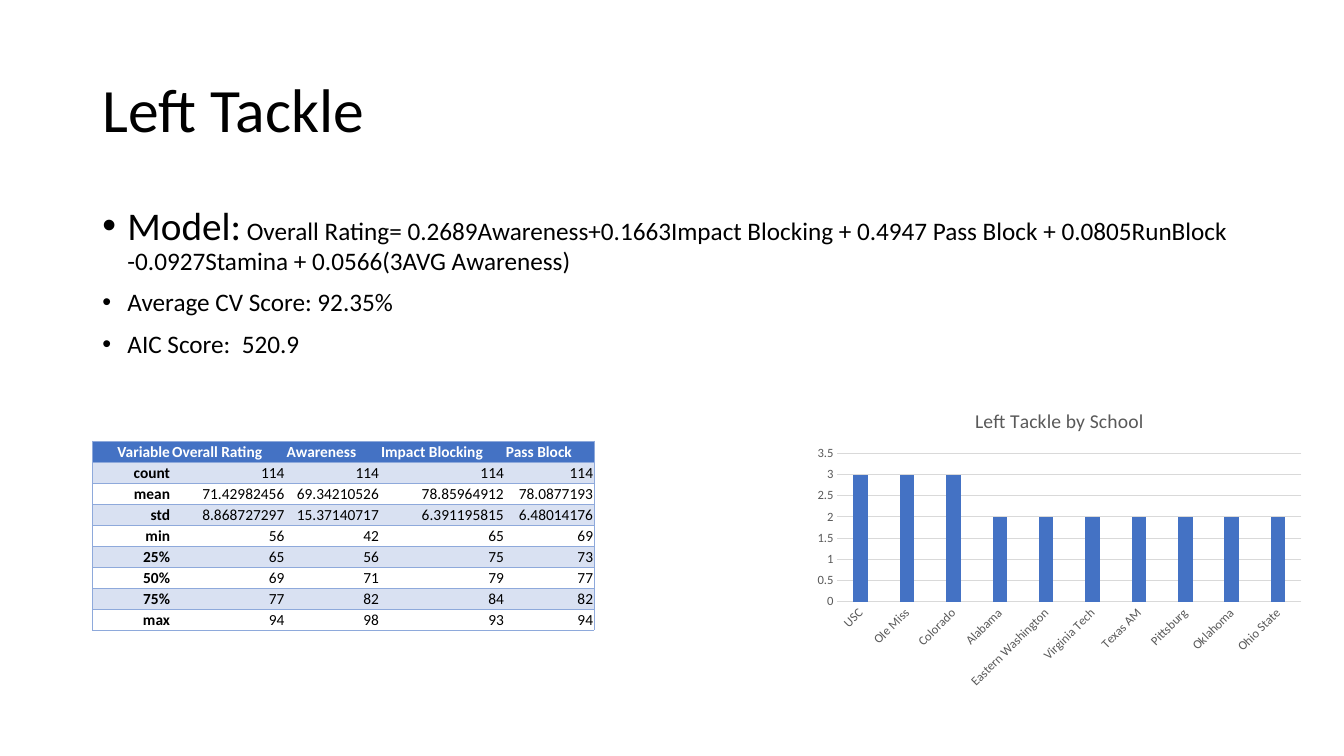
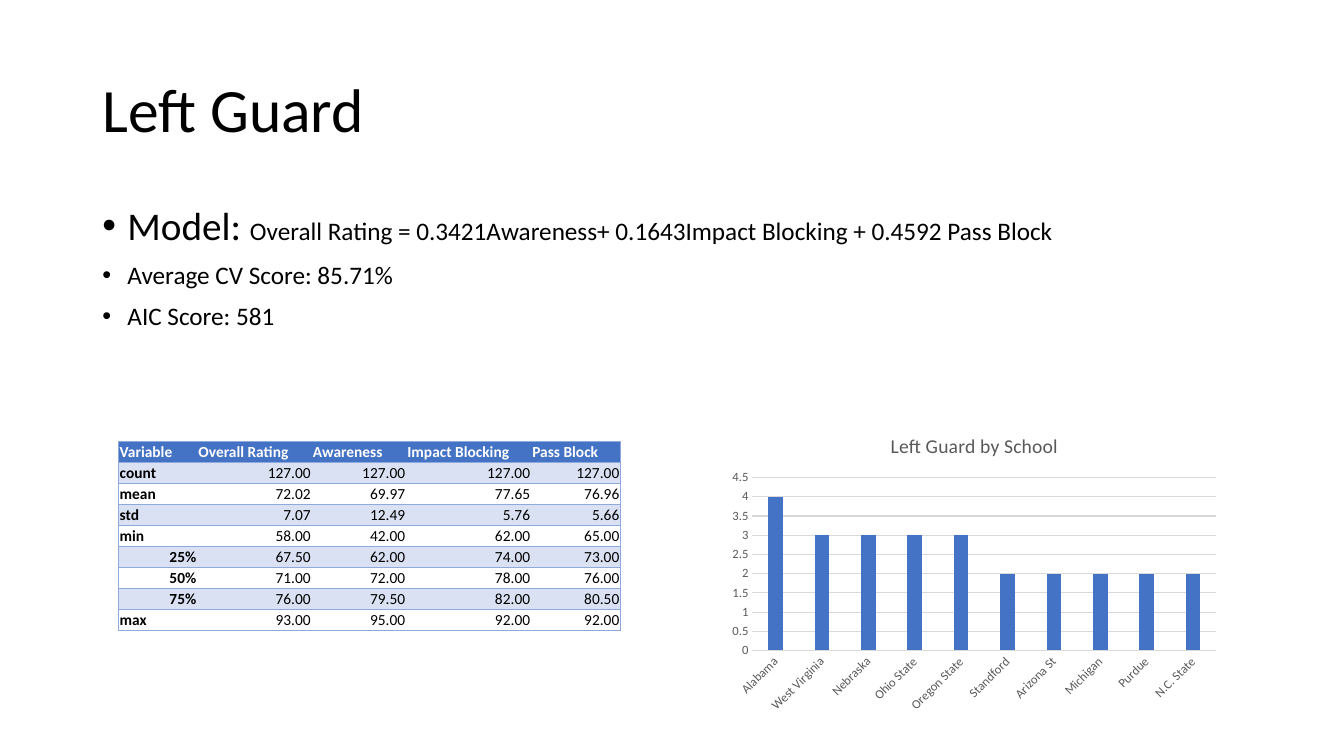
import dataclasses

import lxml.etree
import pptx
import pptx.chart.data
import pptx.dml.color
import pptx.enum.chart
import pptx.enum.text
import pptx.oxml.ns
import pptx.util

PX = 9525
ALIGN = pptx.enum.text.PP_ALIGN
SLIDE_SIZE = (1280, 720)
TITLE_BOX = (88, 38, 1104, 139)
BODY_BOX = (88, 192, 1104, 457)
COLUMN_WIDTHS = (75, 109, 90, 119, 85)
ROW_HEIGHT = 20
TABLE_TOP = 420
CHART_SIZE = (480, 288)
TITLE_ONLY = 5


def rgb(value):
    return pptx.dml.color.RGBColor.from_string(value)


@dataclasses.dataclass(frozen=True)
class Theme:
    font: str = "Calibri"
    text: object = rgb("000000")
    muted: object = rgb("595959")
    white: object = rgb("FFFFFF")
    accent: object = rgb("4472C4")
    band: object = rgb("D9E1F2")
    border: str = "8EA9DB"
    grid: object = rgb("D9D9D9")
    title_size: int = 44
    lead_size: int = 28
    body_size: int = 18
    chart_title_size: int = 14
    table_size: int = 11
    axis_size: int = 9


THEME = Theme()

HEADER = ("Variable", "Overall Rating", "Awareness", "Impact Blocking", "Pass Block")

POSITIONS = (
    {
        "title": "Left Tackle",
        "lead": "Model:",
        "formula": " Overall Rating= 0.2689Awareness+0.1663Impact Blocking + 0.4947 Pass Block"
                   " + 0.0805RunBlock -0.0927Stamina + 0.0566(3AVG Awareness)",
        "scores": ("Average CV Score: 92.35%", "AIC Score:  520.9"),
        "table_left": 88,
        "labels_right": True,
        "statistics": (
            ("count", "114", "114", "114", "114"),
            ("mean", "71.42982456", "69.34210526", "78.85964912", "78.0877193"),
            ("std", "8.868727297", "15.37140717", "6.391195815", "6.48014176"),
            ("min", "56", "42", "65", "69"),
            ("25%", "65", "56", "75", "73"),
            ("50%", "69", "71", "79", "77"),
            ("75%", "77", "82", "84", "82"),
            ("max", "94", "98", "93", "94"),
        ),
        "chart_corner": (769, 374),
        "chart_title": "Left Tackle by School",
        "schools": {
            "USC": 3, "Ole Miss": 3, "Colorado": 3, "Alabama": 2,
            "Eastern Washington": 2, "Virginia Tech": 2, "Texas AM": 2,
            "Pittsburg": 2, "Oklahoma": 2, "Ohio State": 2,
        },
    },
    {
        "title": "Left Guard",
        "lead": "Model: ",
        "formula": "Overall Rating = 0.3421Awareness+ 0.1643Impact Blocking + 0.4592 Pass Block",
        "scores": ("Average CV Score: 85.71%", "AIC Score: 581"),
        "table_left": 113,
        "labels_right": False,
        "statistics": (
            ("count", "127.00", "127.00", "127.00", "127.00"),
            ("mean", "72.02", "69.97", "77.65", "76.96"),
            ("std", "7.07", "12.49", "5.76", "5.66"),
            ("min", "58.00", "42.00", "62.00", "65.00"),
            ("25%", "67.50", "62.00", "74.00", "73.00"),
            ("50%", "71.00", "72.00", "78.00", "76.00"),
            ("75%", "76.00", "79.50", "82.00", "80.50"),
            ("max", "93.00", "95.00", "92.00", "92.00"),
        ),
        "chart_corner": (688, 397),
        "chart_title": "Left Guard by School",
        "schools": {
            "Alabama": 4, "West Virginia": 3, "Nebraska": 3, "Ohio State": 3,
            "Oregon State": 3, "Standford": 2, "Arizona St": 2, "Michigan": 2,
            "Purdue": 2, "N.C. State": 2,
        },
    },
)


def emu(box):
    return [length * PX for length in box]


def style_font(font, size=None, color=THEME.text, bold=False):
    font.name = THEME.font
    font.bold = bold
    font.color.rgb = color
    if size:
        font.size = pptx.util.Pt(size)


def add_element(parent, tag, **attributes):
    return lxml.etree.SubElement(parent, pptx.oxml.ns.qn(tag), **attributes)


def add_title(slide, box, text):
    title = slide.shapes.title
    title.left, title.top, title.width, title.height = emu(box)
    frame = title.text_frame
    frame.text = text
    frame.auto_size = pptx.enum.text.MSO_AUTO_SIZE.NONE
    frame.vertical_anchor = pptx.enum.text.MSO_ANCHOR.MIDDLE
    paragraph = frame.paragraphs[0]
    paragraph.alignment = ALIGN.LEFT
    paragraph.line_spacing = 0.9
    style_font(paragraph.font, THEME.title_size)


def format_bullet(paragraph):
    paragraph.line_spacing = 0.9
    properties = paragraph._p.get_or_add_pPr()
    properties.set("marL", str(24 * PX))
    properties.set("indent", str(-24 * PX))
    add_element(properties, "a:buFont", typeface="Arial")
    add_element(properties, "a:buChar", char="•")


def add_model_summary(slide, box, position):
    frame = slide.shapes.add_textbox(*emu(box)).text_frame
    frame.word_wrap = True
    model = frame.paragraphs[0]
    format_bullet(model)
    style_font(model.font)
    for text, size in ((position["lead"], THEME.lead_size),
                       (position["formula"], THEME.body_size)):
        run = model.add_run()
        run.text = text
        run.font.size = pptx.util.Pt(size)
    for score in position["scores"]:
        paragraph = frame.add_paragraph()
        paragraph.text = score
        paragraph.space_before = pptx.util.Pt(10)
        format_bullet(paragraph)
        style_font(paragraph.font, THEME.body_size)


def set_borders(cell, visible_sides):
    properties = cell._tc.get_or_add_tcPr()
    for side in "LRTB":
        line = add_element(properties, f"a:ln{side}", w=str(pptx.util.Pt(0.5)))
        if side in visible_sides:
            fill = add_element(line, "a:solidFill")
            add_element(fill, "a:srgbClr", val=THEME.border)
        else:
            add_element(line, "a:noFill")


def format_cell(cell, row, column, align_right):
    cell.margin_left = cell.margin_right = cell.margin_top = PX
    cell.margin_bottom = 0
    cell.vertical_anchor = pptx.enum.text.MSO_ANCHOR.BOTTOM
    outer_sides = {0: "L", len(HEADER) - 1: "R"}
    set_borders(cell, "TB" + outer_sides.get(column, ""))
    if row % 2 or row == 0:
        cell.fill.solid()
        cell.fill.fore_color.rgb = THEME.band if row else THEME.accent
    else:
        cell.fill.background()
    paragraph = cell.text_frame.paragraphs[0]
    paragraph.alignment = ALIGN.RIGHT if align_right else ALIGN.LEFT
    style_font(paragraph.font, THEME.table_size,
               THEME.text if row else THEME.white, row == 0 or column == 0)


def add_statistics_table(slide, corner, statistics, labels_right):
    rows = (HEADER, *statistics)
    size = (sum(COLUMN_WIDTHS), ROW_HEIGHT * len(rows))
    table = slide.shapes.add_table(len(rows), len(HEADER), *emu((*corner, *size))).table
    table.first_row = table.horz_banding = False
    for column, width in zip(table.columns, COLUMN_WIDTHS):
        column.width = width * PX
    for row_index, values in enumerate(rows):
        table.rows[row_index].height = ROW_HEIGHT * PX
        for column_index, value in enumerate(values):
            cell = table.cell(row_index, column_index)
            cell.text = value
            if column_index == 0:
                align_right = labels_right or value.endswith("%")
            else:
                align_right = row_index > 0
            format_cell(cell, row_index, column_index, align_right)


def format_axis(axis):
    axis.major_tick_mark = axis.minor_tick_mark = pptx.enum.chart.XL_TICK_MARK.NONE
    style_font(axis.tick_labels.font, THEME.axis_size, THEME.muted)


def style_line(line):
    line.color.rgb = THEME.grid
    line.width = pptx.util.Pt(0.75)


def add_school_chart(slide, box, title, schools):
    data = pptx.chart.data.CategoryChartData()
    data.categories = list(schools)
    data.add_series("Series 1", list(schools.values()))
    chart = slide.shapes.add_chart(
        pptx.enum.chart.XL_CHART_TYPE.COLUMN_CLUSTERED, *emu(box), data).chart
    chart.has_legend = False
    style_font(chart.font, 10)
    chart.has_title = True
    chart.chart_title.include_in_layout = False
    frame = chart.chart_title.text_frame
    frame.text = title
    style_font(frame.paragraphs[0].font, THEME.chart_title_size, THEME.muted)

    plot = chart.plots[0]
    plot.vary_by_categories = False
    plot.gap_width = 219
    plot.overlap = -27
    fill = plot.series[0].format.fill
    fill.solid()
    fill.fore_color.rgb = THEME.accent

    for axis in (chart.category_axis, chart.value_axis):
        format_axis(axis)
    style_line(chart.category_axis.format.line)
    label_body = chart.category_axis._element.txPr.find(pptx.oxml.ns.qn("a:bodyPr"))
    label_body.set("rot", str(-45 * 60000))
    label_body.set("vert", "horz")
    chart.value_axis.format.line.fill.background()
    chart.value_axis.minimum_scale = 0
    chart.value_axis.maximum_scale = max(schools.values()) + 0.5
    chart.value_axis.major_unit = 0.5
    style_line(chart.value_axis.major_gridlines.format.line)


def add_position_slide(presentation, position):
    slide = presentation.slides.add_slide(presentation.slide_layouts[TITLE_ONLY])
    add_title(slide, TITLE_BOX, position["title"])
    add_model_summary(slide, BODY_BOX, position)
    add_school_chart(slide, (*position["chart_corner"], *CHART_SIZE),
                     position["chart_title"], position["schools"])
    add_statistics_table(slide, (position["table_left"], TABLE_TOP),
                         position["statistics"], position["labels_right"])


def main():
    presentation = pptx.Presentation()
    presentation.slide_width, presentation.slide_height = emu(SLIDE_SIZE)
    for position in POSITIONS:
        add_position_slide(presentation, position)
    presentation.save("out.pptx")


if __name__ == "__main__":
    main()
